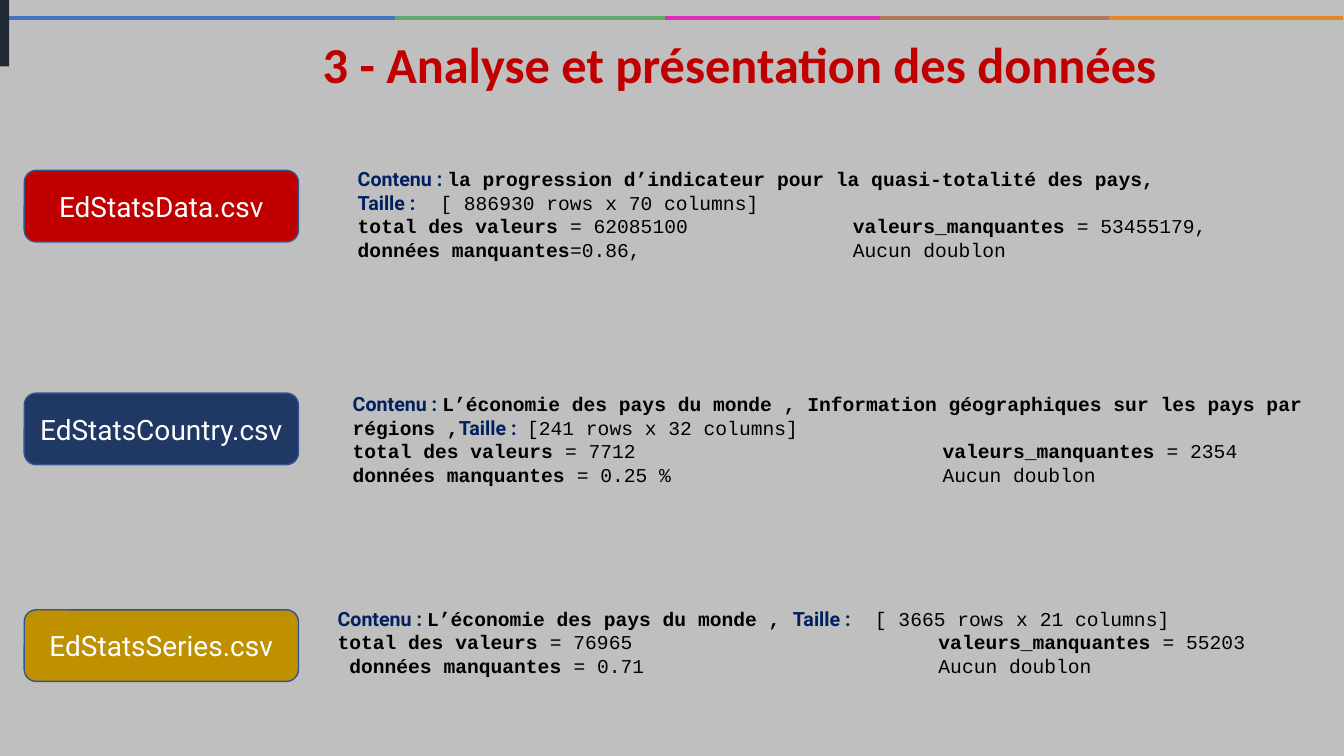
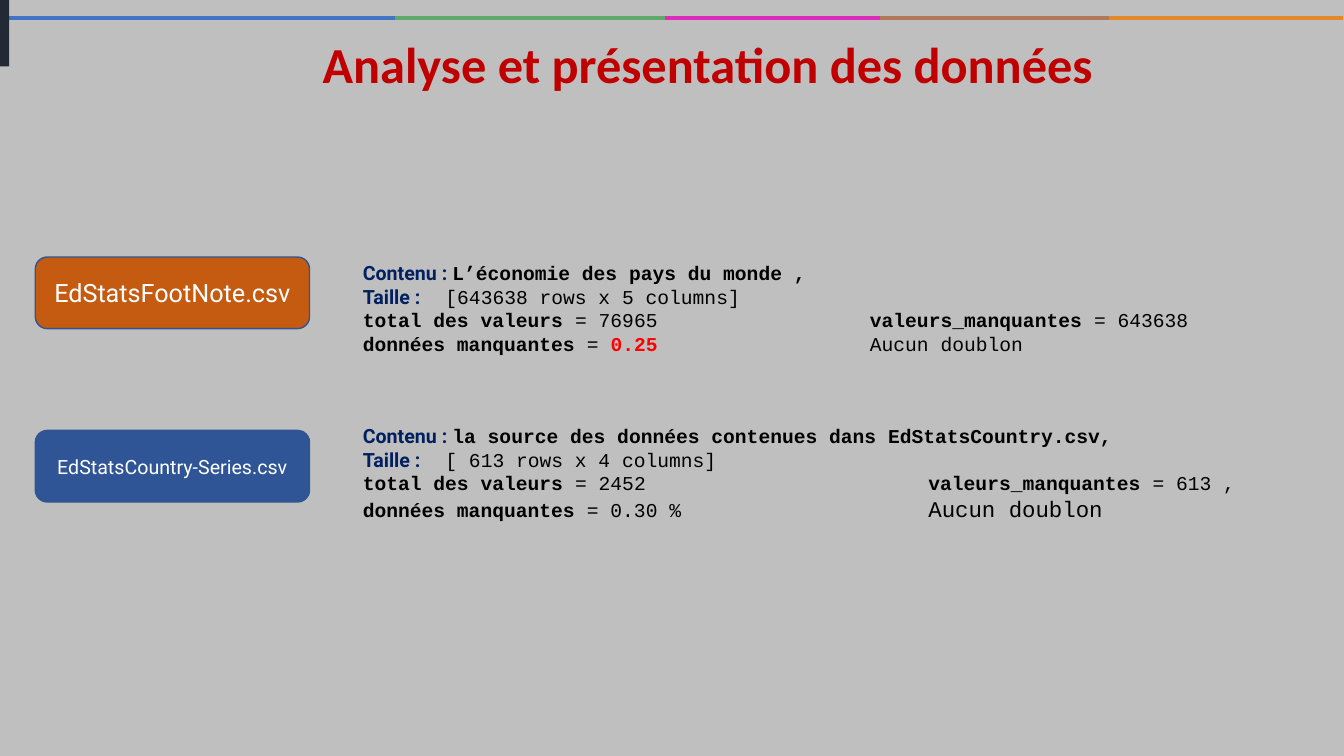
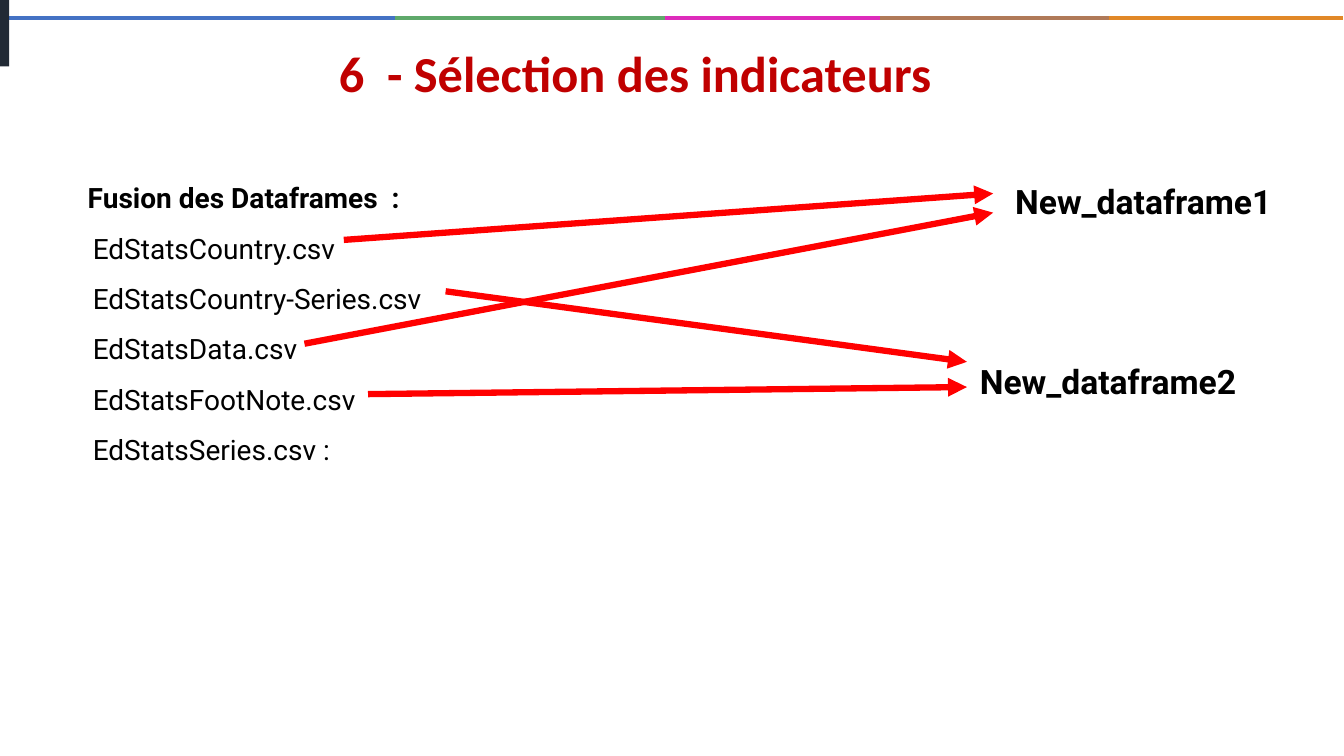
from itertools import pairwise

from pptx import Presentation
from pptx.dml.color import RGBColor
from pptx.enum.shapes import MSO_CONNECTOR, MSO_SHAPE
from pptx.enum.text import MSO_ANCHOR, MSO_AUTO_SIZE, PP_ALIGN
from pptx.oxml.ns import qn
from pptx.util import Inches, Pt
from lxml.etree import SubElement

GREY, WHITE, BLACK, RED = "BFBFBF", "FFFFFF", "000000", "FF0000"
TITLE_RED, NAVY, CARD_EDGE, SIDE_TAB = "C00000", "002060", "325491", "222A35"
BAND_COLORS = ["4472C4", "5FA96B", "DD2BBB", "B07A58", "E18827"]
BAND_EDGES = [0, 3.92, 6.6, 8.73, 11, 13.32]
TITLE_ONLY, TITLE_AND_CONTENT = 5, 1

# Run styles: font, colour, bold, size
LABEL = ("Roboto", NAVY, True, 14)
BOLD = ("Courier New", BLACK, True, 14)
PLAIN = ("Courier New", BLACK, False, 14)
PLAIN_LARGE = ("Courier New", BLACK, False, 16)
ALERT = ("Courier New", RED, True, 14)


def rgb(value):
    return RGBColor.from_string(value)


def set_font(font, name, color, bold, size):
    font.name, font.bold, font.size = name, bold, Pt(size)
    font.color.rgb = rgb(color)


def place(shape, left, top, width, height):
    shape.left, shape.top = Inches(left), Inches(top)
    shape.width, shape.height = Inches(width), Inches(height)


def paragraph_properties(shape):
    return [p.get_or_add_pPr() for p in shape.element.iter(qn("a:p"))]


class Deck:
    """Shared style and the slide being built."""

    def __init__(self):
        self.prs = Presentation()
        self.prs.slide_width, self.prs.slide_height = Inches(13.33), Inches(7.5)
        self.slide = None

    def new_slide(self, title, background, layout=TITLE_ONLY, left=3.1, top=0.28):
        self.slide = self.prs.slides.add_slide(self.prs.slide_layouts[layout])
        fill = self.slide.background.fill
        fill.solid()
        fill.fore_color.rgb = rgb(background)
        for (start, end), color in zip(pairwise(BAND_EDGES), BAND_COLORS):
            self.line((start, 0.18), (end, 0.18), color, 3)
        self.box(MSO_SHAPE.RECTANGLE, 0, 0, 0.09, 0.66, SIDE_TAB)

        heading = self.slide.shapes.title
        place(heading, left, top, 8.51, 0.71)
        frame = heading.text_frame
        frame.text = title
        frame.auto_size = MSO_AUTO_SIZE.NONE
        frame.vertical_anchor = MSO_ANCHOR.TOP
        paragraph = frame.paragraphs[0]
        paragraph.alignment = PP_ALIGN.LEFT
        set_font(paragraph.font, "Calibri", TITLE_RED, True, 36)

    def line(self, start, end, color, width, arrow=False):
        connector = self.slide.shapes.add_connector(
            MSO_CONNECTOR.STRAIGHT, *(Inches(v) for v in (*start, *end)))
        connector.line.color.rgb = rgb(color)
        connector.line.width = Pt(width)
        properties = connector.element.spPr
        if arrow:
            SubElement(properties.find(qn("a:ln")), qn("a:tailEnd"), type="triangle")
        SubElement(properties, qn("a:effectLst"))

    def box(self, preset, left, top, width, height, fill, edge=None):
        shape = self.slide.shapes.add_shape(
            preset, *(Inches(v) for v in (left, top, width, height)))
        shape.shadow.inherit = False
        shape.fill.solid()
        shape.fill.fore_color.rgb = rgb(fill)
        if edge:
            shape.line.color.rgb = rgb(edge)
            shape.line.width = Pt(1)
        else:
            shape.line.fill.background()
        return shape

    def text_box(self, left, top, width, height):
        box = self.slide.shapes.add_textbox(
            *(Inches(v) for v in (left, top, width, height)))
        box.text_frame.word_wrap = True
        return box

    def file_card(self, file_name, left, top, fill, size=20):
        card = self.box(MSO_SHAPE.ROUNDED_RECTANGLE, left, top, 2.72, 0.71, fill, CARD_EDGE)
        card.text_frame.text = file_name
        card.text_frame.vertical_anchor = MSO_ANCHOR.MIDDLE
        paragraph = card.text_frame.paragraphs[0]
        paragraph.alignment = PP_ALIGN.CENTER
        set_font(paragraph.font, "Roboto", WHITE, False, size)

    def file_facts(self, left, top, content, size, total, missing, ratio, column,
                   size_column=0.82, size_inline=False, ratio_label="données manquantes ",
                   ratio_style=PLAIN, no_duplicate_style=PLAIN):
        """Facts on one file; column and size_column are tab stops in inches."""
        content_runs = [(LABEL, "Contenu : "), (BOLD, content)]
        size_runs = [(LABEL, "Taille :\t"), (PLAIN, size)]
        lines = [content_runs + size_runs] if size_inline else [content_runs, size_runs]
        tab_stops = [size_column] * len(lines) + [column] * 2
        lines += [
            [(BOLD, "total des valeurs "), (PLAIN, f"= {total}\t"),
             (BOLD, "valeurs_manquantes "), (PLAIN, f"= {missing}")],
            [(BOLD, ratio_label), (PLAIN, "=" + " " * ratio.startswith(" ")),
             (ratio_style, ratio.strip() + "\t"), (no_duplicate_style, "Aucun doublon")],
        ]
        facts = self.text_box(left, top, 9.76, 1.04)
        frame = facts.text_frame
        for index, runs in enumerate(lines):
            paragraph = frame.add_paragraph() if index else frame.paragraphs[0]
            for style, text in runs:
                run = paragraph.add_run()
                run.text = text
                set_font(run.font, *style)
        for properties, stop in zip(paragraph_properties(facts), tab_stops):
            tabs = SubElement(properties, qn("a:tabLst"))
            SubElement(tabs, qn("a:tab"), pos=str(Inches(stop)), algn="l")

    def file_list(self, heading, files):
        body = self.slide.placeholders[1]
        place(body, 0.27, 1.41, 13.05, 3.57)
        frame = body.text_frame
        frame.auto_size = MSO_AUTO_SIZE.NONE
        frame.text = "\n".join([heading, *files])
        for index, (paragraph, properties) in enumerate(
                zip(frame.paragraphs, paragraph_properties(body))):
            properties.set("marL", str(Inches(0.55 if index else 0.5)))
            properties.set("indent", "0")
            SubElement(properties, qn("a:buNone"))
            paragraph.line_spacing = 1.5 if index else 2.0
            paragraph.space_before = Pt(0)
            set_font(paragraph.font, "Roboto", BLACK, index == 0, 20)

    def result_label(self, text, left, top):
        frame = self.text_box(left, top, 3.2, 0.5).text_frame
        frame.text = text
        set_font(frame.paragraphs[0].font, "Roboto", BLACK, True, 24)


def main():
    deck = Deck()

    deck.new_slide("3 - Analyse et présentation des données", GREY)
    deck.file_card("EdStatsData.csv", 0.24, 1.69, "C00000")
    deck.file_card("EdStatsCountry.csv", 0.24, 3.9, "203864")
    deck.file_card("EdStatsSeries.csv", 0.24, 6.05, "BF9000")
    deck.file_facts(
        3.45, 1.61, "la progression d’indicateur pour la quasi-totalité des pays,",
        "[ 886930 rows x 70 columns]", "62085100", "53455179,", "0.86,", 4.91,
        ratio_label="données manquantes")
    deck.file_facts(
        3.4, 3.84, "L’économie des pays du monde , Information géographiques "
        "sur les pays par régions ,",
        "[241 rows x 32 columns]", "7712", "2354", " 0.25 %", 5.85,
        size_column=1.73, size_inline=True)
    deck.file_facts(
        3.25, 5.97, "L’économie des pays du monde , ",
        "[ 3665 rows x 21 columns]", "76965", "55203", " 0.71", 5.96,
        size_column=5.33, size_inline=True, ratio_label=" données manquantes ")

    deck.new_slide("Analyse et présentation des données", GREY)
    deck.file_card("EdStatsFootNote.csv", 0.35, 2.55, "C55A11", 18)
    deck.file_card("EdStatsCountry-Series.csv", 0.35, 4.27, "2F5597", 14)
    deck.file_facts(
        3.5, 2.54, "L’économie des pays du monde ,",
        "[643638 rows x 5 columns]", "76965", "643638", " 0.25", 5.03,
        ratio_style=ALERT)
    deck.file_facts(
        3.5, 4.16, "la source des données contenues dans EdStatsCountry.csv,",
        "[ 613 rows x 4 columns]", "2452", "613 ,", " 0.30 %", 5.61,
        no_duplicate_style=PLAIN_LARGE)

    deck.new_slide("6  - Sélection des indicateurs", WHITE, TITLE_AND_CONTENT, 3.26, 0.37)
    deck.file_list("Fusion des Dataframes  :", [
        "EdStatsCountry.csv", "EdStatsCountry-Series.csv", "EdStatsData.csv",
        "EdStatsFootNote.csv", "EdStatsSeries.csv :"])
    for start, end in [((3.41, 2.38), (9.85, 1.92)), ((3.02, 3.41), (9.85, 2.11)),
                       ((4.42, 2.89), (9.59, 3.59)), ((3.65, 3.91), (9.59, 3.84))]:
        deck.line(start, end, RED, 4.5, arrow=True)
    deck.result_label("New_dataframe1", 9.97, 1.75)
    deck.result_label("New_dataframe2", 9.62, 3.53)

    deck.prs.save("out.pptx")


if __name__ == "__main__":
    main()
